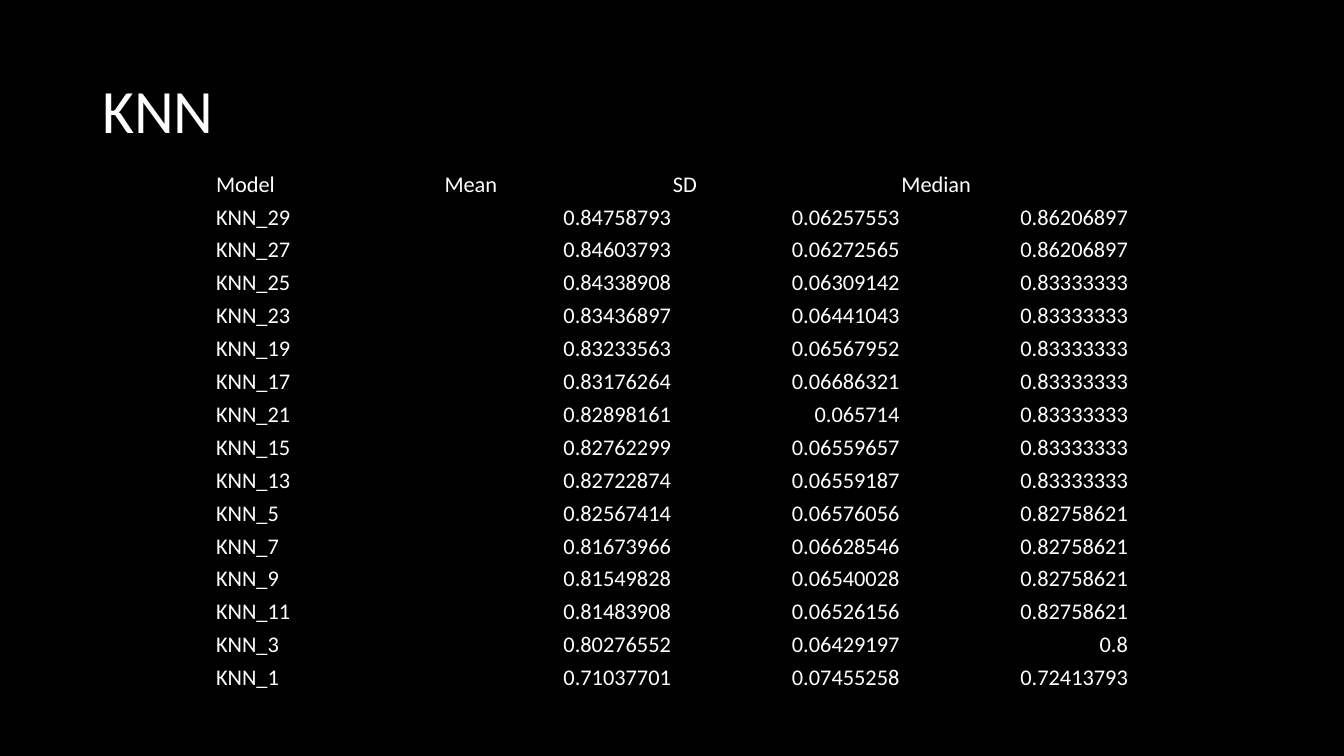
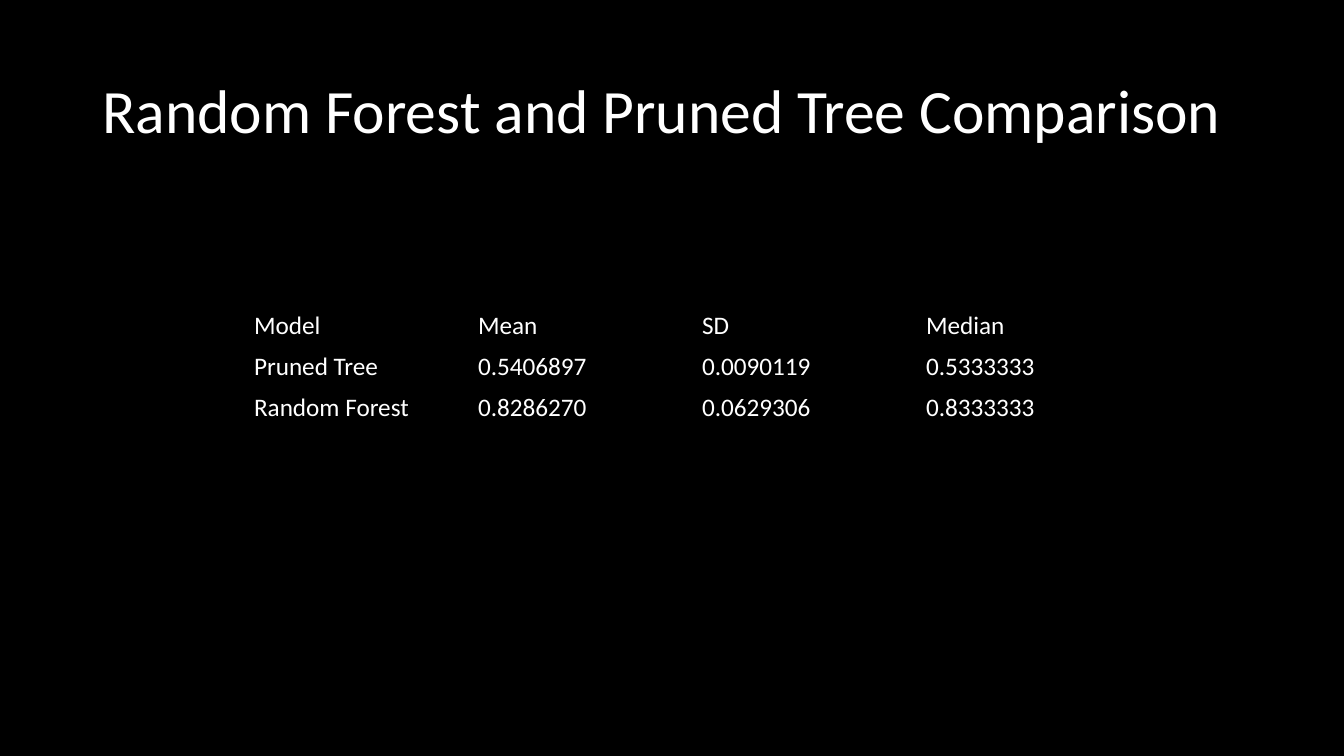
from dataclasses import dataclass
from pptx import Presentation
from pptx.dml.color import RGBColor
from pptx.enum.text import MSO_ANCHOR, PP_ALIGN
from pptx.oxml.ns import qn
from pptx.slide import Slide
from pptx.text.text import _Paragraph
from pptx.util import Inches, Pt

TOP, MIDDLE, BOTTOM = MSO_ANCHOR.TOP, MSO_ANCHOR.MIDDLE, MSO_ANCHOR.BOTTOM
LEFT, RIGHT = PP_ALIGN.LEFT, PP_ALIGN.RIGHT

# Shared look: a grid of 160 columns by 90 rows
BLACK, WHITE = "000000", "FFFFFF"
FONT = "Calibri"
WIDE, HIGH = 160, 90
UNIT = Inches(1) / 12
PLAIN = "{2D5ABB26-0587-4C30-8999-92F81FD0307C}"  # no style, no grid
HEAD = ("Model", "Mean", "SD", "Median")


@dataclass
class Grid:
    left: float
    top: float
    col: float
    row: float
    size: int
    anchor: MSO_ANCHOR
    align: PP_ALIGN
    inset: tuple[float, float, float, float]  # left, top, right, bottom, inches
    filled: bool


@dataclass
class Page:
    title: str
    grid: Grid
    rows: list[tuple[str, ...]]


TIGHT = Grid(25.6, 19.68, 27.2, 3.92, 16, BOTTOM, RIGHT, (0.01, 0.01, 0.01, 0), False)
LOOSE = Grid(29.04, 36.36, 26.67, 4.87, 18, TOP, LEFT, (0.1, 0.05, 0.1, 0.05), True)

PAGES = [
    Page("KNN", TIGHT, [
        ("KNN_29", "0.84758793", "0.06257553", "0.86206897"),
        ("KNN_27", "0.84603793", "0.06272565", "0.86206897"),
        ("KNN_25", "0.84338908", "0.06309142", "0.83333333"),
        ("KNN_23", "0.83436897", "0.06441043", "0.83333333"),
        ("KNN_19", "0.83233563", "0.06567952", "0.83333333"),
        ("KNN_17", "0.83176264", "0.06686321", "0.83333333"),
        ("KNN_21", "0.82898161", "0.065714", "0.83333333"),
        ("KNN_15", "0.82762299", "0.06559657", "0.83333333"),
        ("KNN_13", "0.82722874", "0.06559187", "0.83333333"),
        ("KNN_5", "0.82567414", "0.06576056", "0.82758621"),
        ("KNN_7", "0.81673966", "0.06628546", "0.82758621"),
        ("KNN_9", "0.81549828", "0.06540028", "0.82758621"),
        ("KNN_11", "0.81483908", "0.06526156", "0.82758621"),
        ("KNN_3", "0.80276552", "0.06429197", "0.8"),
        ("KNN_1", "0.71037701", "0.07455258", "0.72413793"),
    ]),
    Page("Random Forest and Pruned Tree Comparison", LOOSE, [
        ("Pruned Tree", "0.5406897", "0.0090119", "0.5333333"),
        ("Random Forest", "0.8286270", "0.0629306", "0.8333333"),
    ]),
]


def span(cells: float) -> int:
    return round(cells * UNIT)


def paint(fill, color: str) -> None:
    fill.solid()
    fill.fore_color.rgb = RGBColor.from_string(color)


def write(para: _Paragraph, text: str, size: int) -> None:
    run = para.add_run()
    run.text = text
    run.font.name = FONT
    run.font.size = Pt(size)
    paint(run.font.fill, WHITE)


def add_title(slide: Slide, text: str) -> None:
    box = slide.shapes.add_textbox(span(11), span(4.8), span(138), span(17.4))
    frame = box.text_frame
    frame.word_wrap = True
    frame.vertical_anchor = MIDDLE
    para = frame.paragraphs[0]
    para.line_spacing = 0.9
    write(para, text, 44)


def add_grid(slide: Slide, grid: Grid, rows: list[tuple[str, ...]]) -> None:
    count = len(rows) + 1
    table = slide.shapes.add_table(
        count, len(HEAD), span(grid.left), span(grid.top),
        span(grid.col * len(HEAD)), span(grid.row * count)).table
    table.first_row = table.horz_banding = False
    table._tbl.tblPr.find(qn("a:tableStyleId")).text = PLAIN
    for r, row in enumerate([HEAD, *rows]):
        table.rows[r].height = span(grid.row)
        for c, text in enumerate(row):
            cell = table.cell(r, c)
            if grid.filled:
                paint(cell.fill, BLACK)
            else:
                cell.fill.background()
            cell.vertical_anchor = grid.anchor
            (cell.margin_left, cell.margin_top, cell.margin_right,
             cell.margin_bottom) = map(Inches, grid.inset)
            para = cell.text_frame.paragraphs[0]
            para.alignment = grid.align if r and c else LEFT
            write(para, text, grid.size)


def main() -> None:
    deck = Presentation()
    deck.slide_width, deck.slide_height = span(WIDE), span(HIGH)
    for page in PAGES:
        slide = deck.slides.add_slide(deck.slide_layouts[6])
        paint(slide.background.fill, BLACK)
        add_title(slide, page.title)
        add_grid(slide, page.grid, page.rows)
    deck.save("out.pptx")


if __name__ == "__main__":
    main()
